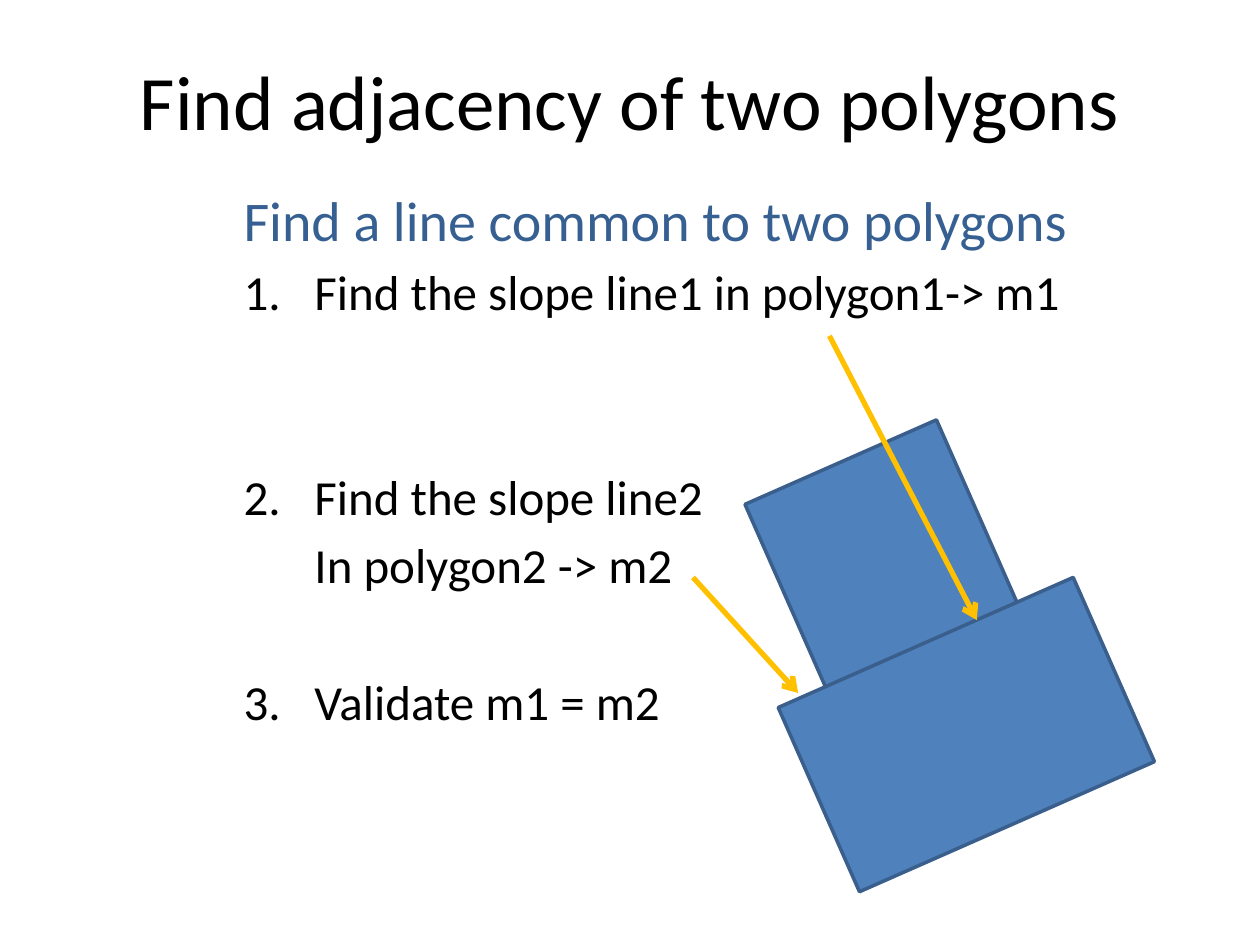
import pptx
import pptx.util
import pptx.dml.color
import pptx.enum.shapes
import pptx.enum.text
import lxml.etree
from pptx.oxml.ns import qn

Cm, Pt = pptx.util.Cm, pptx.util.Pt


def colour(hex_value):
    return pptx.dml.color.RGBColor.from_string(hex_value)


def add_text_box(left, top, width, height):
    box = page.shapes.add_textbox(Cm(left), Cm(top), Cm(width), Cm(height))
    box.text_frame.word_wrap = True
    return box.text_frame


deck = pptx.Presentation()
deck.slide_width, deck.slide_height = Cm(25.4), Cm(19.05)
page = deck.slides.add_slide(deck.slide_layouts[6])

# Title
title = add_text_box(1.27, 0.43, 22.86, 3.18)
title.vertical_anchor = pptx.enum.text.MSO_ANCHOR.MIDDLE
para = title.paragraphs[0]
para.text = "Find adjacency of two polygons"
para.alignment = pptx.enum.text.PP_ALIGN.CENTER
para.font.name, para.font.size = "Calibri", Pt(44)
para.font.color.rgb = colour("000000")

# Steps: text, number, size, colour, space before
steps = [
    ("Find a line common to two polygons", None, 32, "376092", 6),
    ("Find the slope line1 in polygon1-> m1", 1, 28, "000000", 5.2),
    ("Find the slope line2", 2, 28, "000000", 83.6),
    ("In polygon2 -> m2", None, 28, "000000", 5.2),
    ("Validate m1 = m2", 3, 28, "000000", 44.6),
]
body = add_text_box(3.39, 3.61, 22.01, 14.6)
for index, (text, number, size, text_colour, gap) in enumerate(steps):
    para = body.add_paragraph() if index else body.paragraphs[0]
    para.text = text
    para.space_before = Pt(gap)
    para.font.name, para.font.size = "Calibri", Pt(size)
    para.font.color.rgb = colour(text_colour)
    settings = para._p.get_or_add_pPr()
    settings.set("marL", str(Cm(2.7 if index else 1.27)))
    settings.set("indent", str(Cm(-1.43 if number else 0)))
    if number:
        bullet = lxml.etree.Element(qn("a:buAutoNum"), type="arabicPeriod", startAt=str(number))
        settings.find(qn("a:defRPr")).addprevious(bullet)

# Two adjacent polygons
for left, top, width, height in [(15.57, 9.32, 4.62, 4.22), (17.45, 11.56, 4.06, 6.5)]:
    polygon = page.shapes.add_shape(
        pptx.enum.shapes.MSO_SHAPE.RECTANGLE, Cm(left), Cm(top), Cm(width), Cm(height))
    polygon.rotation = 66.2
    polygon.shadow.inherit = False
    polygon.fill.solid()
    polygon.fill.fore_color.rgb = colour("4F81BD")
    polygon.line.color.rgb = colour("3A5F8C")
    polygon.line.width = Pt(2)

# Arrows from the steps to the common line
for ends in [(16.72, 6.77, 19.69, 12.5), (13.97, 11.64, 16.09, 13.97)]:
    arrow = page.shapes.add_connector(
        pptx.enum.shapes.MSO_CONNECTOR.STRAIGHT, *[Cm(value) for value in ends])
    arrow.line.color.rgb = colour("FFC000")
    arrow.line.width = Pt(3)
    lxml.etree.SubElement(arrow.line._get_or_add_ln(), qn("a:tailEnd"), type="arrow")
    lxml.etree.SubElement(arrow._element.spPr, qn("a:effectLst"))

deck.save("out.pptx")
